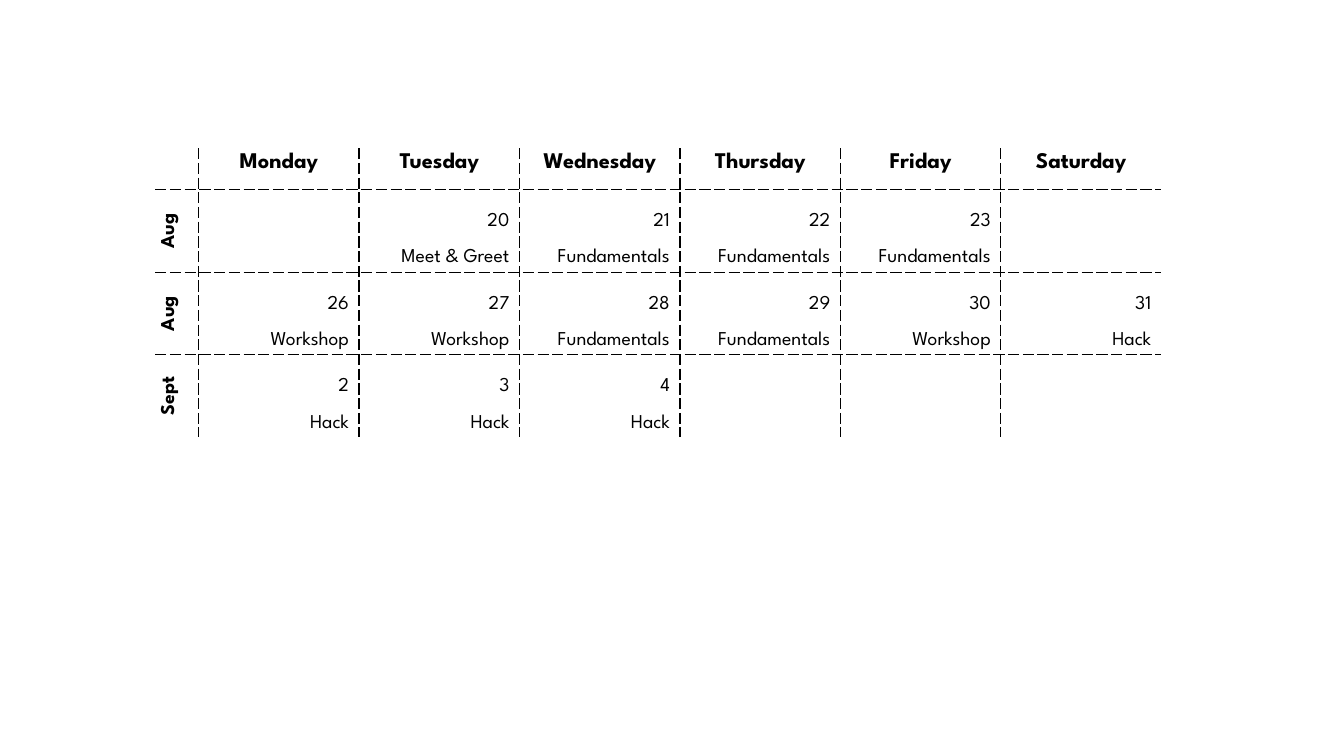
from lxml import etree
from pptx import Presentation
from pptx import util as u
from pptx.dml.color import RGBColor
from pptx.enum import text
from pptx.oxml import ns

BLACK = RGBColor(0, 0, 0)
FONT = "League Spartan"
LEFT, MID, RIGHT = text.PP_ALIGN.LEFT, text.PP_ALIGN.CENTER, text.PP_ALIGN.RIGHT

DAYS = ["Monday", "Tuesday", "Wednesday", "Thursday", "Friday", "Saturday"]
# Month, then first date, first column and events of each week
WEEKS = [
    ("Aug", 20, 1, ["Meet & Greet"] + ["Fundamentals"] * 3),
    ("Aug", 26, 0, ["Workshop"] * 2 + ["Fundamentals"] * 2 + ["Workshop", "Hack"]),
    ("Sept", 2, 0, ["Hack"] * 3),
]


def add_text(frame, lines, size=14, bold=False, align=LEFT, space=1.0):
    """Write one paragraph per line."""
    for i, line in enumerate(lines):
        para = frame.paragraphs[0] if i == 0 else frame.add_paragraph()
        para.alignment = align
        para.line_spacing = space
        run = para.add_run()
        run.text = line
        font = run.font
        font.name, font.size, font.bold = FONT, u.Pt(size), bold
        font.color.rgb = BLACK


def add_edges(cell, sides):
    """Draw dashed lines on the inner sides and none on the others."""
    props = cell._tc.get_or_add_tcPr()
    for side in "LRTB":
        line = etree.SubElement(props, ns.qn("a:ln" + side), w=str(u.Pt(1)))
        if side in sides:
            fill = etree.SubElement(line, ns.qn("a:solidFill"))
            etree.SubElement(fill, ns.qn("a:srgbClr"), val=str(BLACK))
            etree.SubElement(line, ns.qn("a:prstDash"), val="sysDash")
        else:
            etree.SubElement(line, ns.qn("a:noFill"))


def add_weeks(slide, left, top, width, height):
    """Build the calendar: a narrow month column and a half-height header."""
    rows, cols = len(WEEKS) + 1, len(DAYS) + 1
    table = slide.shapes.add_table(rows, cols, left, top, width, height).table
    table.first_row = table.horz_banding = False

    # Sizes
    side = u.Inches(0.43)
    head = u.Inches(0.41)
    for c, col in enumerate(table.columns):
        col.width = side if c == 0 else (width - side) // len(DAYS)
    for r, row in enumerate(table.rows):
        row.height = head if r == 0 else (height - head) // len(WEEKS)

    # Inner grid
    for r in range(rows):
        for c in range(cols):
            inner = {"L": c > 0, "R": c < cols - 1, "T": r > 0, "B": r < rows - 1}
            cell = table.cell(r, c)
            add_edges(cell, [s for s, shown in inner.items() if shown])
            cell.fill.background()

    # Day names
    for c, day in enumerate(DAYS, 1):
        add_text(table.cell(0, c).text_frame, [day], size=16, bold=True, align=MID)

    # Months and dated events
    for r, (month, date, start, events) in enumerate(WEEKS, 1):
        label = table.cell(r, 0)
        label._tc.get_or_add_tcPr().set("vert", "vert270")
        add_text(label.text_frame, [month], bold=True, align=MID)
        for i, event in enumerate(events):
            cell = table.cell(r, start + i + 1)
            cell.vertical_anchor = text.MSO_ANCHOR.MIDDLE
            add_text(cell.text_frame, [str(date + i), event], align=RIGHT, space=2.0)


deck = Presentation()
deck.slide_width, deck.slide_height = u.Inches(13.33), u.Inches(7.5)
page = deck.slides.add_slide(deck.slide_layouts[6])
add_weeks(page, u.Inches(1.54), u.Inches(1.47), u.Inches(9.98), u.Inches(2.87))
deck.save("out.pptx")
